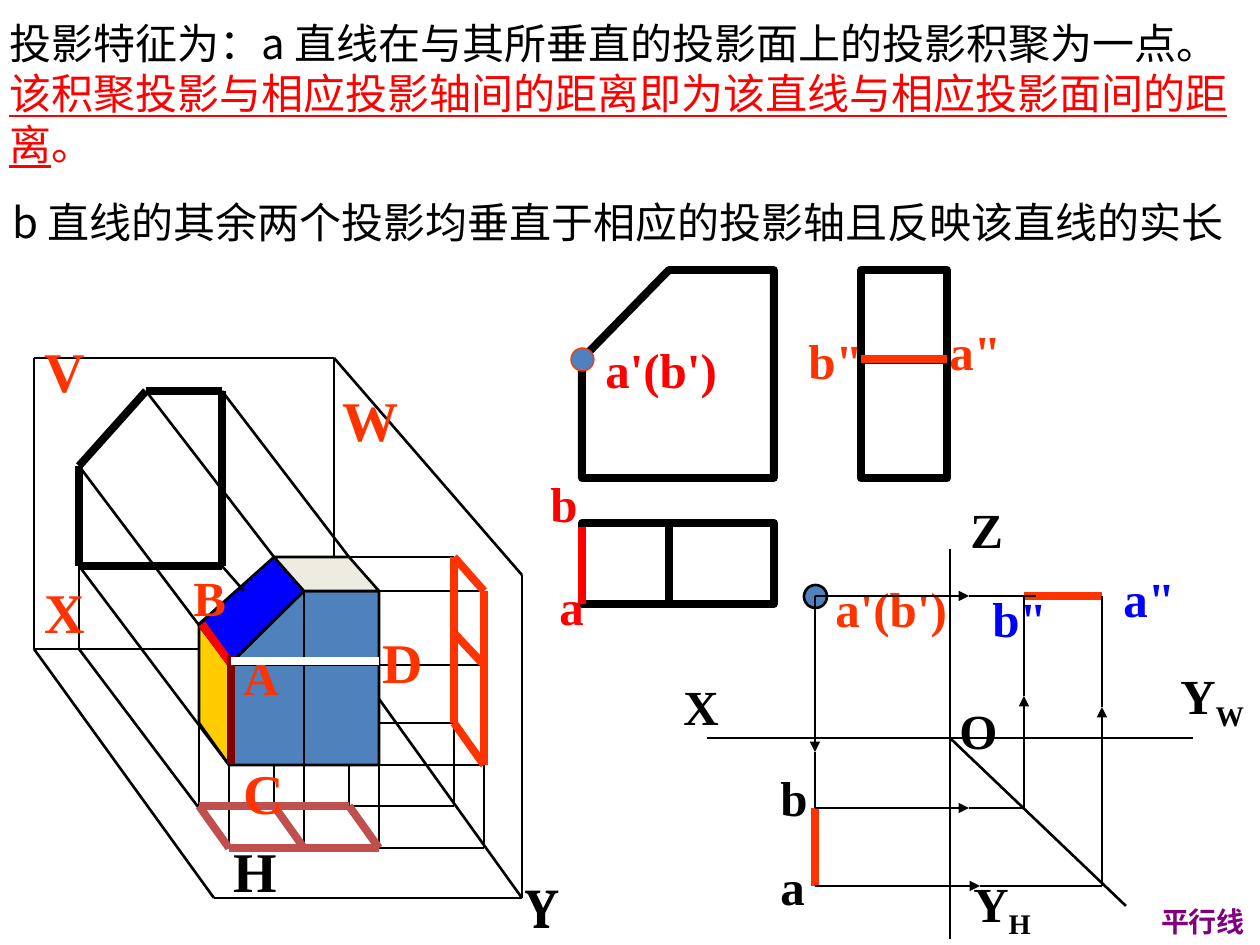
from itertools import pairwise
from lxml.etree import SubElement
from pptx import Presentation
from pptx.dml.color import RGBColor
from pptx.enum.shapes import MSO_CONNECTOR, MSO_SHAPE
from pptx.enum.text import MSO_ANCHOR, MSO_AUTO_SIZE, PP_ALIGN
from pptx.oxml.ns import qn
from pptx.util import Emu, Pt

SCALE = 914400 / 126
THIN, THICK = 1.5, 4.5
SERIF, HAN = "Times New Roman", "Noto Sans CJK SC"
COLORS = {
    "black": "000000", "white": "FFFFFF", "red": "FF0000", "orange": "FF3300",
    "blue": "0000FF", "steel": "4F81BD", "yellow": "FFCC00", "cream": "EEECE1",
    "brick": "C0504D", "maroon": "800000", "purple": "800080",
}


def px(value):
    return Emu(round(value * SCALE))


def rgb(color):
    return RGBColor.from_string(COLORS[color])


def place(box, point):
    return px(box[0] + point[0]), px(box[1] + point[1])


def add_line(page, box, start, end, color="black", width=THIN, arrow=False):
    line = page.shapes.add_connector(
        MSO_CONNECTOR.STRAIGHT, *place(box, start), *place(box, end))
    line.line.color.rgb = rgb(color)
    line.line.width = Pt(width)
    if arrow:
        SubElement(line.line._get_or_add_ln(), qn("a:tailEnd"), type="triangle")
    SubElement(line._element.spPr, qn("a:effectLst"))


def add_path(page, box, points, color="black", width=THIN):
    for start, end in pairwise(points):
        add_line(page, box, start, end, color, width)


def paint(shape, fill, line, width):
    shape.shadow.inherit = False
    shape.fill.solid()
    shape.fill.fore_color.rgb = rgb(fill)
    shape.line.color.rgb = rgb(line)
    shape.line.width = Pt(width)


def add_polygon(page, box, points, fill, width=THIN):
    corners = [place(box, point) for point in points]
    builder = page.shapes.build_freeform(*corners[0], scale=1.0)
    builder.add_line_segments(corners[1:], close=True)
    paint(builder.convert_to_shape(), fill, "black", width)


def add_dot(page, box, point, line, width):
    dot = page.shapes.add_shape(MSO_SHAPE.OVAL, *place(box, point), px(23), px(23))
    paint(dot, "steel", line, width)


def add_span(para, text, size, color, font=SERIF, bold=True):
    span = para.add_run()
    span.text = text
    span.font.size = Pt(size)
    span.font.bold = bold
    span.font.name = font
    span.font.color.rgb = rgb(color)
    if font == HAN:
        SubElement(span._r.rPr, qn("a:ea"), typeface=font)
    return span


def add_text_box(page, box, point, width, height, wrap=False, middle=False):
    text_box = page.shapes.add_textbox(*place(box, point), px(width), px(height))
    frame = text_box.text_frame
    frame.word_wrap = wrap
    frame.auto_size = MSO_AUTO_SIZE.SHAPE_TO_FIT_TEXT
    if middle:
        frame.vertical_anchor = MSO_ANCHOR.MIDDLE
    return frame.paragraphs[0]


def add_label(page, box, text, point, width, color, size=28, sub="", font=SERIF):
    para = add_text_box(page, box, point, width, 72 if size == 28 else 79)
    add_span(para, text, size, color, font)
    if sub:
        add_span(para, sub, size, color, font).font._element.set("baseline", "-25000")


def add_three_views(page, box):
    left, split, right, side_left, side_right = 44, 131, 236, 323, 409
    top, middle, bottom, plan_top, plan_bottom = 0, 89, 208, 253, 334
    add_label(page, box, 'a"', (399, 45), 84, "orange")
    add_label(page, box, 'b"', (258, 54), 88, "orange")
    outlines = [
        [(left, bottom), (right, bottom), (right, top), (split, top), (left, middle)],
        [(side_left, top), (side_left, bottom), (side_right, bottom), (side_right, top)],
        [(left, plan_top), (left, plan_bottom), (right, plan_bottom), (right, plan_top)],
    ]
    for outline in outlines:
        add_polygon(page, box, outline, "white", THICK)
    add_line(page, box, (side_left, middle + 1), (side_right, middle + 1), width=THICK)
    add_line(page, box, (split, plan_top), (split, plan_bottom), width=THICK)
    add_label(page, box, "a", (9, 300), 50, "red")
    add_label(page, box, "b", (0, 197), 53, "red")
    add_label(page, box, "a'(b')", (55, 63), 144, "red")
    add_dot(page, box, (33, 78), "orange", 0.75)
    add_line(page, box, (left, plan_bottom), (left, plan_top + 4), "red", THICK)
    add_line(page, box, (side_left, middle), (side_right, middle), "orange", THICK)


def add_axis_projection(page, box):
    front, side_b, side_a = 145, 354, 432
    top, row_b, row_a = 103, 315, 393
    origin = (280, 245)
    add_line(page, box, (front, row_b), (front, row_a), "orange", THICK)
    add_line(page, box, (37, 245), (523, 245))
    add_line(page, box, (280, 56), (280, 446))
    add_line(page, box, origin, (456, 413))
    add_dot(page, box, (134, 92), "black", THIN)
    add_line(page, box, (side_b, top), (side_a, top), "orange", THICK)
    labels = [
        ("O", (277, 201), 64, "black", ""), ("X", (1, 177), 64, "black", ""),
        ("Z", (288, 0), 62, "black", ""), ("Y", (291, 374), 92, "black", "H"),
        ("Y", (498, 166), 94, "black", "W"), ("a'(b')", (153, 79), 144, "orange", ""),
        ("a", (98, 357), 54, "black", ""), ("b", (98, 268), 57, "black", ""),
        ('a"', (441, 69), 84, "blue", ""), ('b"', (310, 89), 88, "blue", ""),
    ]
    for text, point, width, color, sub in labels:
        add_label(page, box, text, point, width, color, sub=sub)
    routes = [
        ((front, top), (front, 259), (front, row_b)),
        ((front, row_b), (299, row_b), (side_b, row_b)),
        ((front, row_a), (310, row_a), (side_a, row_a)),
        ((side_b, row_b), (side_b, 203), (side_b, top)),
        ((side_a, row_a), (side_a, 214), (side_a, top)),
        ((front, top), (299, top), (366, top)),
    ]
    for start, halfway, end in routes:
        add_line(page, box, start, halfway, arrow=True)
        add_line(page, box, halfway, end)


def add_pictorial(page, box):
    front_base, front_eave = (197, 435), (197, 335)
    front_ridge, front_top = (272, 261), (347, 261)
    back_base, back_eave = (167, 393), (167, 294)
    back_ridge, back_top = (242, 227), (317, 227)
    right_base = (347, 435)
    faces = [
        ([front_base, right_base, front_top, front_ridge, front_eave], "steel"),
        ([front_base, back_base, back_eave, front_eave], "yellow"),
        ([back_eave, back_ridge, front_ridge, front_eave], "blue"),
        ([front_ridge, front_top, back_top, back_ridge], "cream"),
    ]
    for points, fill in faces:
        add_polygon(page, box, points, fill)

    profile = [(47, 236), (47, 136), (114, 61), (190, 61), (190, 236), (47, 236)]
    floor = [(167, 476), (317, 476), (347, 518), (197, 518), (167, 476)]
    wall = [(422, 227), (452, 261), (452, 435), (422, 393), (422, 227)]
    thin_paths = [
        [(302, 227), (302, 28), (2, 28), (2, 319), (182, 568), (490, 568),
         (490, 245), (302, 28)],
        [(2, 319), (167, 319)], [(490, 568), (347, 369)],
        [(47, 236), (47, 319), (197, 518), (452, 518), (452, 261), front_top],
        [back_top, (422, 227)], [(347, 393), (422, 393), (422, 476), (167, 476)],
        [right_base, (452, 435)], [front_eave, (452, 335)],
        [front_base, (197, 518)], [back_base, (167, 476)],
        [front_ridge, (272, 518)], [right_base, (347, 518)],
        [(317, 476), (317, 435)], [(242, 476), (242, 435)],
        [front_eave, profile[1]], [front_base, profile[0]],
        [back_ridge, profile[2]], [back_top, profile[3]], [(190, 236), (212, 261)],
    ]
    for points in thin_paths:
        add_path(page, box, points)
    thick_paths = [
        (profile, "black"), (floor, "brick"), ([(272, 518), (242, 476)], "brick"),
        (wall, "orange"), ([(452, 335), (422, 303)], "orange"),
    ]
    for points, color in thick_paths:
        add_path(page, box, points, color, THICK)

    labels = [
        ("V", (0, 0), 66, 32, "orange", SERIF), ("H", (189, 500), 69, 32, "black", SERIF),
        ("W", (298, 49), 82, 32, "orange", SERIF), ("X", (0, 241), 66, 32, "orange", SERIF),
        ("A", (199, 310), 60, 28, "orange", SERIF), ("B", (149, 231), 58, 28, "orange", SERIF),
        ("Y", (481, 536), 66, 32, "black", "Cambria"),
        ("C", (199, 422), 66, 32, "orange", SERIF), ("D", (338, 291), 66, 32, "orange", SERIF),
    ]
    for text, point, width, size, color, font in labels:
        add_label(page, box, text, point, width, color, size, font=font)
    add_line(page, box, (199, 334), (170, 294), "red", THICK)
    add_line(page, box, (199, 325), (199, 434), "maroon", THICK)
    add_line(page, box, (199, 331), (347, 331), "white", THICK)


def add_statement(page, box):
    para = add_text_box(page, box, (0, 0), 1255, 164, wrap=True, middle=True)
    add_span(para, "投影特征为：a 直线在与其所垂直的投影面上的投影积聚为一点。", 24, "black", HAN, False)
    span = add_span(para, "该积聚投影与相应投影轴间的距离即为该直线与相应投影面间的距离", 24, "red", HAN, False)
    span.font.underline = True
    add_span(para, "。", 24, "red", HAN, False)
    para = add_text_box(page, box, (3, 179), 1257, 63, wrap=True, middle=True)
    add_span(para, "b 直线的其余两个投影均垂直于相应的投影轴且反映该直线的实长", 24, "black", HAN, False)


def add_footer(page, box):
    para = add_text_box(page, box, (0, 0), box[2], box[3], middle=True)
    para.alignment = PP_ALIGN.CENTER
    add_span(para, "平行线", 16, "purple")


def main():
    deck = Presentation()
    deck.slide_width, deck.slide_height = px(1260), px(945)
    page = deck.slides.add_slide(deck.slide_layouts[6])
    add_three_views(page, (538, 270, 476, 372))
    add_axis_projection(page, (670, 493, 590, 446))
    add_pictorial(page, (32, 330, 543, 615))
    add_statement(page, (-3, 11, 1260, 242))
    add_footer(page, (1148, 898, 110, 47))
    deck.save("out.pptx")


if __name__ == "__main__":
    main()
